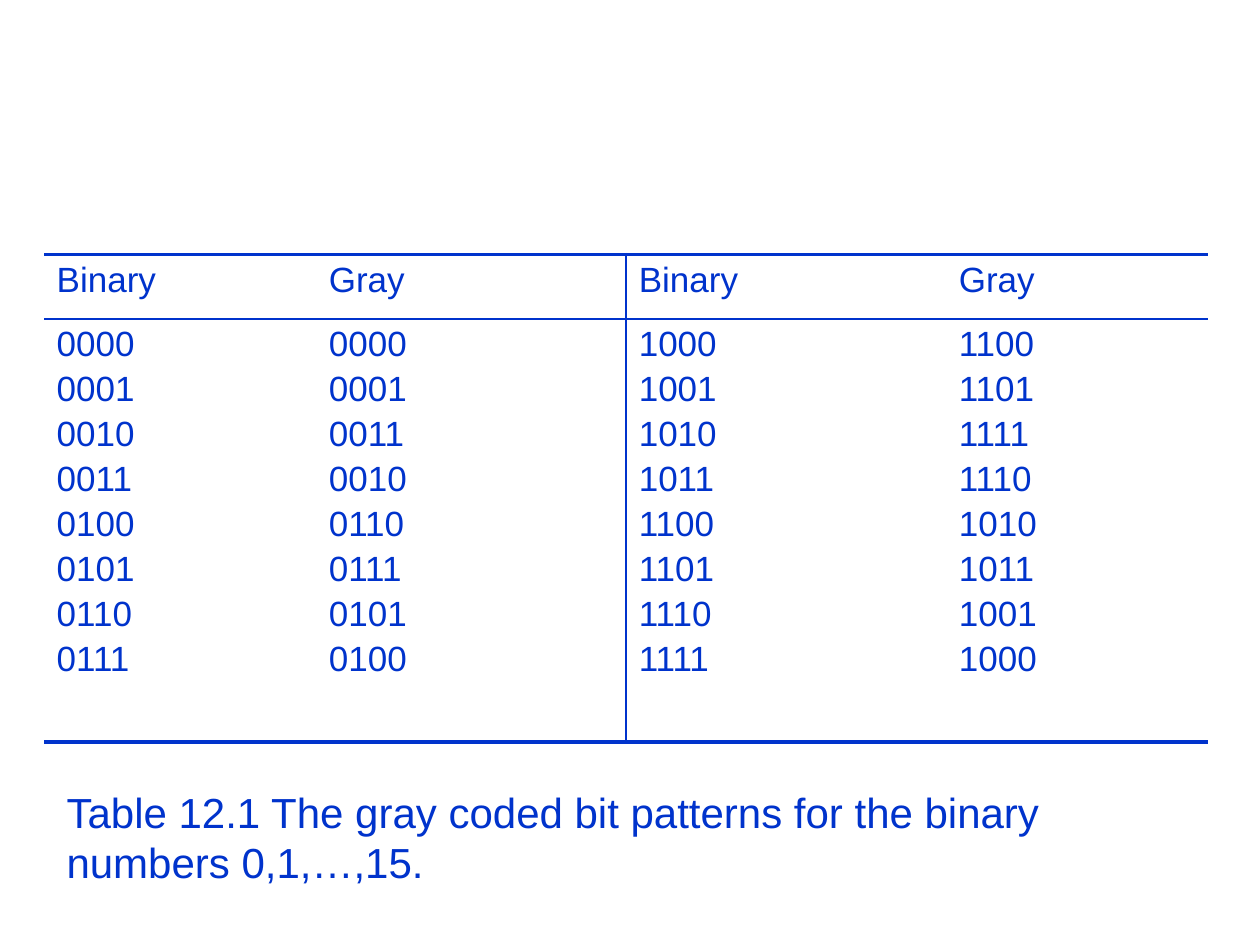
"""Build a slide with a table of four-bit binary numbers and their Gray codes."""
from dataclasses import dataclass

from lxml import etree
from pptx import Presentation
from pptx.dml.color import RGBColor
from pptx.oxml.ns import qn
from pptx.table import _Cell
from pptx.text.text import _Paragraph
from pptx.util import Inches, Pt

BLUE = RGBColor(0x00, 0x33, 0xCC)
FONT = "Arial"
THIN, THICK = 1, 2.25
ROWS_PER_HALF = 8
BLANK_LAYOUT = 6


@dataclass(frozen=True)
class Half:
    """One side of the table: its first number and the offset of its Gray column."""

    first: int
    gray_offset: float

    def code_lines(self) -> list[str]:
        """Pair each binary number with its Gray code."""
        numbers = range(self.first, self.first + ROWS_PER_HALF)
        return [f"{n:04b}\t{n ^ (n >> 1):04b}" for n in numbers]


HALVES = (Half(0, 2.16), Half(8, 2.54))


def style_font(paragraph: _Paragraph, size: float) -> None:
    """Give a paragraph the slide's font and colour."""
    paragraph.font.name = FONT
    paragraph.font.size = Pt(size)
    paragraph.font.bold = False
    paragraph.font.color.rgb = BLUE


def set_borders(cell: _Cell, left: float, right: float, top: float, bottom: float) -> None:
    """Draw the four cell borders in points, where zero means none."""
    properties = cell._tc.get_or_add_tcPr()
    widths = {"a:lnL": left, "a:lnR": right, "a:lnT": top, "a:lnB": bottom}
    for position, (tag, width) in enumerate(widths.items()):
        line = etree.Element(qn(tag), w=str(Pt(width)))
        if width:
            fill = etree.SubElement(line, qn("a:solidFill"))
            etree.SubElement(fill, qn("a:srgbClr"), val=str(BLUE))
        else:
            etree.SubElement(line, qn("a:noFill"))
        properties.insert(position, line)


def write_lines(cell: _Cell, lines: list[str], gray_offset: float) -> None:
    """Write tabbed lines into a cell, one paragraph each."""
    cell.text = "\n".join(lines)
    for index, paragraph in enumerate(cell.text_frame.paragraphs):
        tabs = etree.SubElement(paragraph._p.get_or_add_pPr(), qn("a:tabLst"))
        etree.SubElement(tabs, qn("a:tab"), pos=str(Inches(gray_offset)), algn="l")
        if index:
            paragraph.space_before = Pt(3.4)
        style_font(paragraph, 20)


def main() -> None:
    """Create the presentation and save it."""
    presentation = Presentation()
    presentation.slide_width, presentation.slide_height = Inches(10), Inches(7.5)
    slide = presentation.slides.add_slide(presentation.slide_layouts[BLANK_LAYOUT])

    codes = slide.shapes.add_table(
        2, 2, Inches(0.35), Inches(2.02), Inches(9.24), Inches(3.87)
    ).table
    codes.first_row = codes.horz_banding = False
    for row, height in zip(codes.rows, (0.51, 3.36)):
        row.height = Inches(height)

    for column, half in enumerate(HALVES):
        codes.columns[column].width = Inches(4.62)
        left, right = (THIN, 0) if column else (0, THIN)
        contents = (
            (["Binary\tGray"], THICK, THIN),
            (half.code_lines(), THIN, THICK),
        )
        for row_index, (lines, top, bottom) in enumerate(contents):
            cell = codes.cell(row_index, column)
            cell.fill.background()
            set_borders(cell, left, right, top, bottom)
            write_lines(cell, lines, half.gray_offset)

    caption = slide.shapes.add_textbox(
        Inches(0.43), Inches(6.19), Inches(9.06), Inches(0.9)
    ).text_frame
    caption.word_wrap = True
    caption.text = (
        "Table 12.1 The gray coded bit patterns for the binary numbers 0,1,…,15."
    )
    style_font(caption.paragraphs[0], 24)

    presentation.save("out.pptx")


if __name__ == "__main__":
    main()
